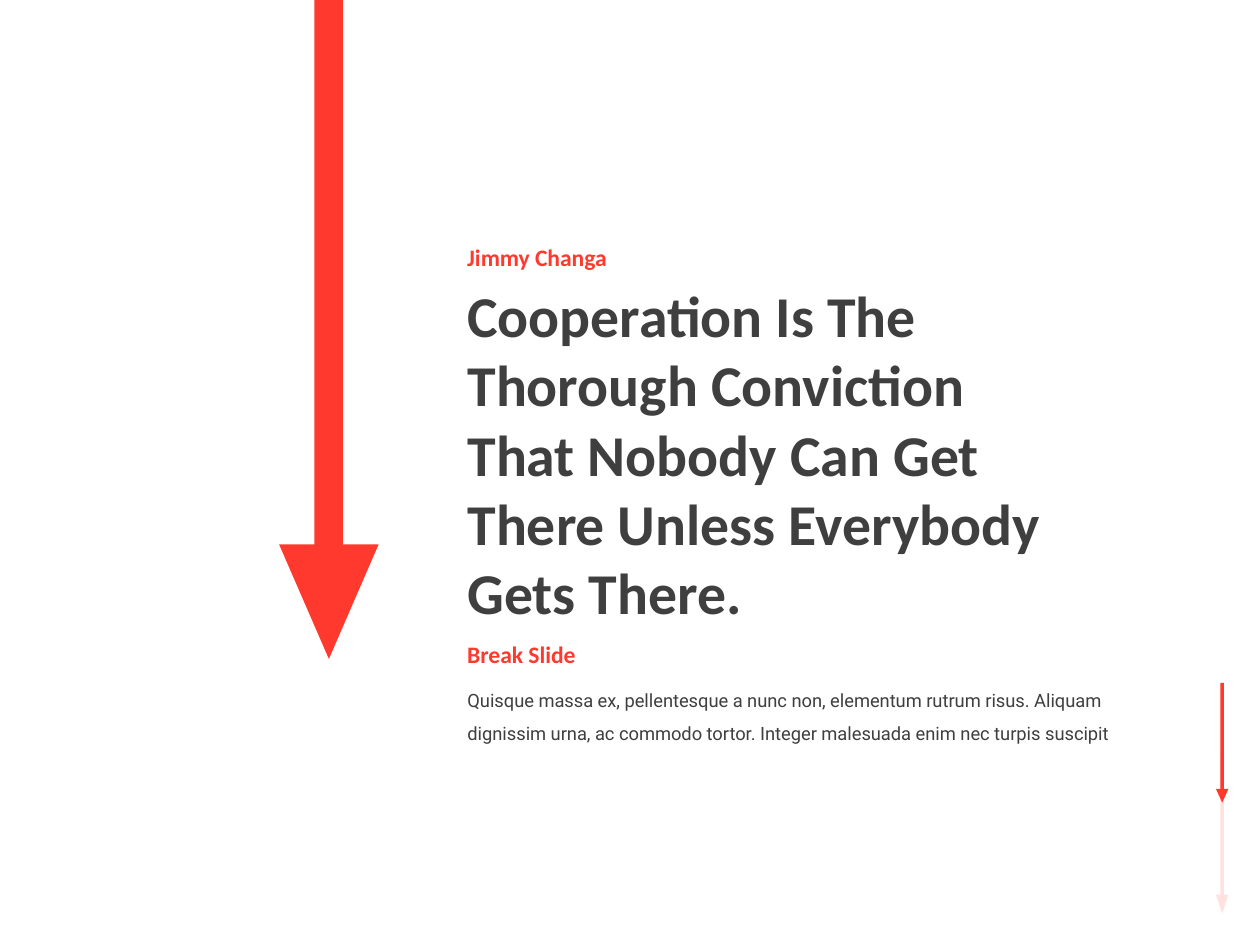
import pptx
import pptx.util
import pptx.dml.color
import pptx.enum.shapes
import pptx.enum.text
import pptx.oxml
from pptx.oxml.ns import qn
from pptx.util import Inches

RED = "FF392E"
DARK = "3F3F3F"
WHITE = "FFFFFF"
TEXT_LEFT = 3.61
SHAPE = pptx.enum.shapes.MSO_SHAPE


def color(value):
    return pptx.dml.color.RGBColor.from_string(value)


def add_block(shapes, kind, left, top, width, height, fill):
    """Add a filled preset shape without line or shadow."""
    block = shapes.add_shape(kind, Inches(left), Inches(top), Inches(width), Inches(height))
    block.shadow.inherit = False
    block.fill.solid()
    block.fill.fore_color.rgb = color(fill)
    block.line.fill.background()
    return block


def add_arrow(page, center, top, shaft_width, head_top, head_width, head_height):
    """Add a grouped down arrow: a thin shaft and a triangular head."""
    shapes = page.shapes.add_group_shape().shapes
    add_block(shapes, SHAPE.RECTANGLE, center - shaft_width / 2, top,
              shaft_width, head_top - top + 0.01, RED)
    head = add_block(shapes, SHAPE.ISOSCELES_TRIANGLE, center - head_width / 2, head_top,
                     head_width, head_height, RED)
    head.rotation = 180


def add_veil(page):
    """Add a white sheet at 85 % opacity that fades what lies beneath."""
    veil = add_block(page.shapes, SHAPE.RECTANGLE, 1.47, 0, 8.53, 7.5, WHITE)
    tint = veil._element.spPr.find(qn("a:solidFill"))[0]
    pptx.oxml.parse_xml(
        '<a:alpha xmlns:a="http://schemas.openxmlformats.org/drawingml/2006/main" val="85000"/>'
    )
    alpha = tint.makeelement(qn("a:alpha"), {"val": "85000"})
    tint.append(alpha)


def write_text(box, text, *, top, width, height, size, fill, font="Calibri",
               bold=False, spacing=1.0):
    """Place a text shape and write one paragraph for each line of text."""
    box.left, box.top = Inches(TEXT_LEFT), Inches(top)
    box.width, box.height = Inches(width), Inches(height)
    frame = box.text_frame
    frame.word_wrap = True
    frame.auto_size = pptx.enum.text.MSO_AUTO_SIZE.NONE
    frame.vertical_anchor = pptx.enum.text.MSO_ANCHOR.TOP
    frame.text = text
    for para in frame.paragraphs:
        para.alignment = pptx.enum.text.PP_ALIGN.LEFT
        para.line_spacing = spacing
        para.space_before = pptx.util.Pt(0)
        properties = para._p.get_or_add_pPr()
        properties.set("marL", "0")
        properties.set("indent", "0")
        properties.append(properties.makeelement(qn("a:buNone"), {}))
        for span in para.runs:
            span.font.name = font
            span.font.size = pptx.util.Pt(size)
            span.font.bold = bold
            span.font.color.rgb = color(fill)


def add_label(page, text, top, width):
    box = page.shapes.add_textbox(0, 0, 0, 0)
    write_text(box, text, top=top, width=width, height=0.33, size=13.5, fill=RED, bold=True)


def main():
    deck = pptx.Presentation()
    deck.slide_width, deck.slide_height = Inches(10), Inches(7.5)
    page = deck.slides.add_slide(deck.slide_layouts[1])
    title, body = page.placeholders

    # Arrows: the lowest one is faded by the veil
    add_arrow(page, 9.7, 5.98, 0.03, 7.1, 0.1, 0.15)
    add_veil(page)
    add_arrow(page, 9.7, 5.42, 0.03, 6.26, 0.1, 0.11)
    add_arrow(page, 2.61, -0.16, 0.23, 4.32, 0.79, 0.91)

    # Title and body, raised above the veil
    for box in (title, body):
        page.shapes._spTree.append(box._element)
    write_text(title, "Cooperation Is The\nThorough Conviction\nThat Nobody Can Get\n"
               "There Unless Everybody\nGets There.",
               top=2.17, width=5.79, height=2.88, size=33, fill=DARK, bold=True)
    write_text(body, "Quisque massa ex, pellentesque a nunc non, elementum rutrum risus. "
               "Aliquam dignissim urna, ac commodo tortor. Integer malesuada enim nec "
               "turpis suscipit",
               top=5.33, width=5.41, height=0.6, size=10.5, fill=DARK,
               font="Roboto", spacing=1.5)

    # Red labels above and below the title
    add_label(page, "Jimmy Changa", 1.88, 1.81)
    add_label(page, "Break Slide", 5.03, 1.67)

    deck.save("out.pptx")


if __name__ == "__main__":
    main()
